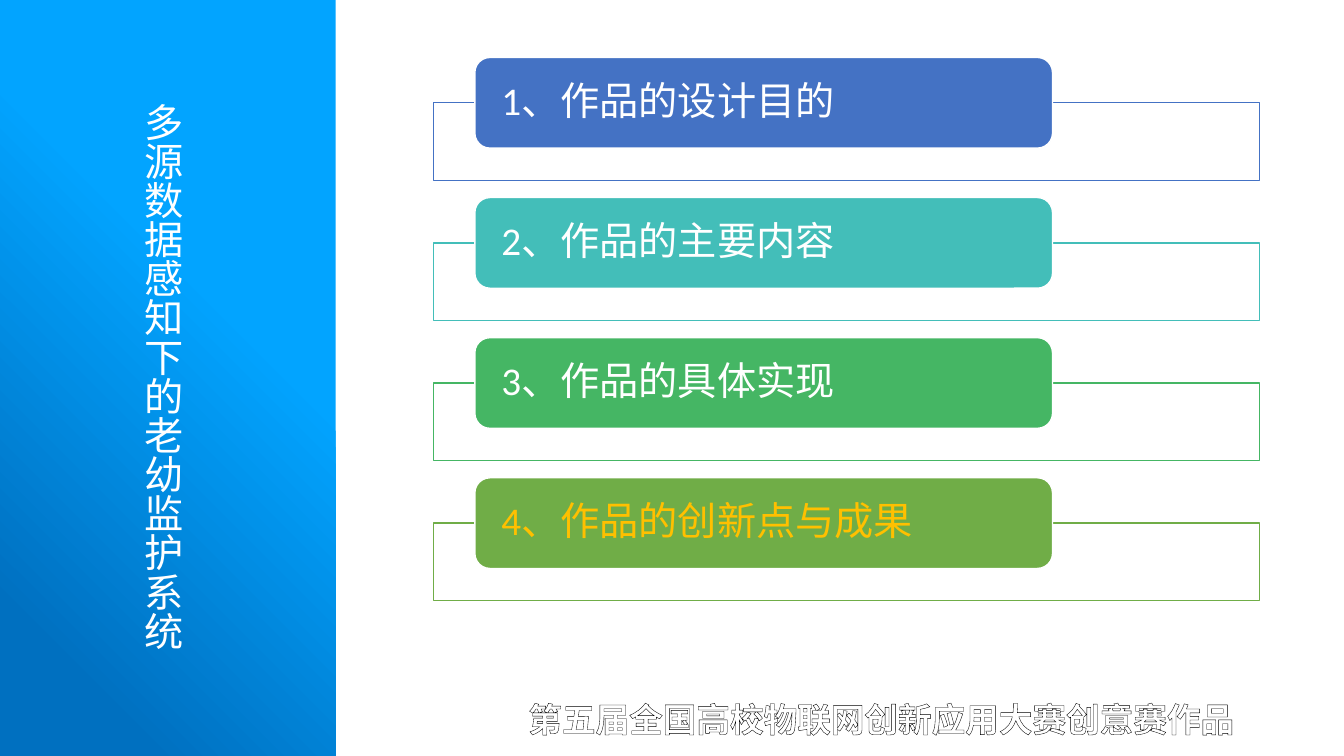
from lxml import etree
from pptx import Presentation
from pptx.dml.color import RGBColor
from pptx.enum.shapes import MSO_SHAPE
from pptx.enum.text import MSO_ANCHOR, MSO_AUTO_SIZE, PP_ALIGN
from pptx.oxml.ns import qn
from pptx.util import Inches, Pt

RECT = MSO_SHAPE.RECTANGLE
ROUND = MSO_SHAPE.ROUNDED_RECTANGLE
TOP = MSO_ANCHOR.TOP
MIDDLE = MSO_ANCHOR.MIDDLE
LEFT = PP_ALIGN.LEFT
CENTER = PP_ALIGN.CENTER
FIXED = MSO_AUTO_SIZE.NONE

WHITE = RGBColor(0xFF, 0xFF, 0xFF)
SKY = RGBColor(0x02, 0xA4, 0xFF)
NAVY = RGBColor(0x00, 0x70, 0xC0)
BLUE = RGBColor(0x44, 0x72, 0xC4)
TEAL = RGBColor(0x43, 0xBE, 0xB9)
GREEN = RGBColor(0x45, 0xB6, 0x64)
OLIVE = RGBColor(0x70, 0xAD, 0x47)
GOLD = RGBColor(0xFF, 0xC0, 0x00)
CJK = "Noto Sans CJK SC"


def add_box(kind, left, top, width, height):
    box = slide.shapes.add_shape(
        kind, Inches(left), Inches(top), Inches(width), Inches(height)
    )
    box.shadow.inherit = False
    return box


def set_text(frame, text, size, face, color, align):
    frame.text = text
    frame.auto_size = FIXED
    para = frame.paragraphs[0]
    para.alignment = align
    run = para.runs[0]
    run.font.size = Pt(size)
    run.font.name = face
    run.font.color.rgb = color
    etree.SubElement(run.font._element, qn("a:ea"), typeface=CJK)
    return run


deck = Presentation()
deck.slide_width = Inches(13.33)
deck.slide_height = Inches(7.5)
slide = deck.slides.add_slide(deck.slide_layouts[5])

panel = add_box(RECT, 0, 0, 3.33, 7.5)
panel.line.fill.background()
panel.fill.gradient()
panel.fill.gradient_angle = 225
for stop, (place, color) in zip(panel.fill.gradient_stops, [(0.38, SKY), (0.86, NAVY)]):
    stop.position = place
    stop.color.rgb = color

title = slide.shapes.title
title.left, title.top = Inches(0.97), Inches(0.97)
title.width, title.height = Inches(0.98), Inches(5.7)
set_text(title.text_frame, "多源数据感知下的老幼监护系统", 28, "Calibri", WHITE, LEFT)
title.text_frame.vertical_anchor = TOP
title.text_frame._txBody.bodyPr.set("vert", "eaVert")
slide.shapes._spTree.append(title._element)

foot = slide.shapes.add_textbox(Inches(4.85), Inches(6.88), Inches(7.78), Inches(0.81))
foot.text_frame.word_wrap = True
run = set_text(
    foot.text_frame, "第五届全国高校物联网创新应用大赛创意赛作品", 24, CJK, WHITE, CENTER
)
run.font.bold = True
edge = etree.Element(qn("a:ln"), w=str(Pt(1)))
ink = etree.SubElement(edge, qn("a:solidFill"))
etree.SubElement(ink, qn("a:srgbClr"), val="000000")
run.font._element.insert(0, edge)

topics = [
    ("1、作品的设计目的", BLUE, WHITE),
    ("2、作品的主要内容", TEAL, WHITE),
    ("3、作品的具体实现", GREEN, WHITE),
    ("4、作品的创新点与成果", OLIVE, GOLD),
]
for row, (text, color, tint) in enumerate(topics):
    top = 0.57 + 1.39 * row
    frame = add_box(RECT, 4.3, top + 0.45, 8.19, 0.77)
    frame.fill.solid()
    frame.fill.fore_color.rgb = WHITE
    shade = frame.fill._xPr.find(".//" + qn("a:srgbClr"))
    etree.SubElement(shade, qn("a:alpha"), val="90000")
    frame.line.color.rgb = color
    frame.line.width = Pt(1)

    label = add_box(ROUND, 4.71, top, 5.73, 0.9)
    label.fill.solid()
    label.fill.fore_color.rgb = color
    label.line.color.rgb = WHITE
    label.line.width = Pt(1)
    body = label.text_frame
    set_text(body, text, 28, "Calibri", tint, LEFT)
    body.paragraphs[0].line_spacing = 0.9
    body.word_wrap = True
    body.vertical_anchor = MIDDLE
    body.margin_left = body.margin_right = Inches(0.22)
    body.margin_top = body.margin_bottom = 0

deck.save("out.pptx")
